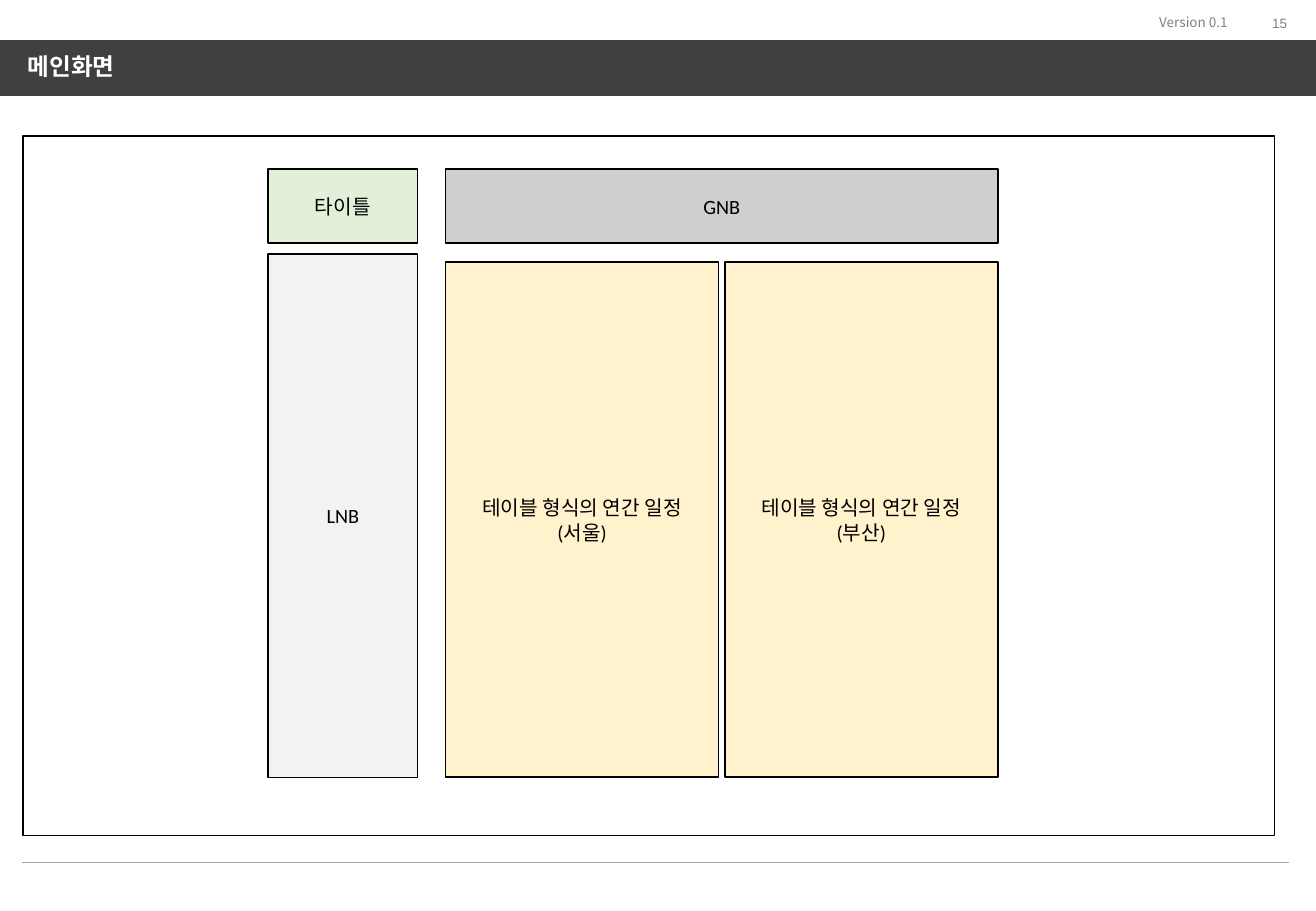
from lxml.etree import SubElement
from pptx import Presentation
from pptx.dml.color import RGBColor
from pptx.enum.shapes import MSO_CONNECTOR as Connector, MSO_SHAPE as Shape
from pptx.enum.text import MSO_ANCHOR as Anchor, PP_ALIGN as Align
from pptx.oxml.ns import qn
from pptx.util import Inches, Pt

COLOURS = {
    "bar": "404040", "rule": "A6A6A6", "muted": "7F7F7F",
    "black": "000000", "white": "FFFFFF",
    "title": "E2F0D9", "gnb": "D0CECE", "lnb": "F2F2F2", "schedule": "FFF2CC",
}
WIDTH, HEIGHT = 10.84, 7.5

# Wireframe grid
SIDE_LEFT, SIDE_WIDTH = 2.21, 1.23
MAIN_LEFT, MAIN_WIDTH = 3.67, 4.55
HEADER_TOP, HEADER_HEIGHT = 1.39, 0.61
LNB_TOP, SCHEDULE_TOP, BODY_BOTTOM = 2.09, 2.16, 6.4
SCHEDULE_GAP = 0.05
SCHEDULE_WIDTH = (MAIN_WIDTH - SCHEDULE_GAP) / 2


def colour(name):
    return RGBColor.from_string(COLOURS[name])


def write(shape, text, size=12, font="Calibri", color="black", bold=False,
          align=Align.CENTER, anchor=Anchor.MIDDLE, margins=(0, 0),
          wrap=False, spacing=None):
    """Fill the shape with one paragraph per line of text."""
    frame = shape.text_frame
    frame.word_wrap = wrap
    frame.vertical_anchor = anchor
    frame.margin_left = frame.margin_right = Inches(margins[0])
    frame.margin_top = frame.margin_bottom = Inches(margins[1])
    for index, line in enumerate(text.split("\n")):
        paragraph = frame.paragraphs[0] if index == 0 else frame.add_paragraph()
        paragraph.alignment = align
        paragraph.line_spacing = spacing
        run = paragraph.add_run()
        run.text = line
        run.font.name = font
        run.font.size = Pt(size)
        run.font.bold = bold
        run.font.color.rgb = colour(color)
        east_asian = SubElement(run.font._element, qn("a:ea"))
        east_asian.set("typeface", "Noto Sans CJK KR")


presentation = Presentation()
presentation.slide_width = Inches(WIDTH)
presentation.slide_height = Inches(HEIGHT)
slide = presentation.slides.add_slide(presentation.slide_layouts[6])

# Footer rule
rule = slide.shapes.add_connector(
    Connector.STRAIGHT, Inches(0.18), Inches(7.1), Inches(10.62), Inches(7.1))
rule.line.color.rgb = colour("rule")
rule.line.width = Pt(0.5)
SubElement(rule._element.spPr, qn("a:effectLst"))

# Title bar, frame and wireframe areas: left, top, width, height, fill, line, text
schedules = [
    (MAIN_LEFT + column * (SCHEDULE_WIDTH + SCHEDULE_GAP), SCHEDULE_TOP,
     SCHEDULE_WIDTH, BODY_BOTTOM - SCHEDULE_TOP, "schedule", "black",
     f"테이블 형식의 연간 일정\n({city})")
    for column, city in enumerate(("서울", "부산"))
]
areas = [
    (0, 0.33, WIDTH, 0.46, "bar", None, ""),
    (0.19, 1.12, 10.31, 5.76, None, "black", ""),
    (SIDE_LEFT, LNB_TOP, SIDE_WIDTH, BODY_BOTTOM - LNB_TOP, "lnb", "black", "LNB"),
    (MAIN_LEFT, HEADER_TOP, MAIN_WIDTH, HEADER_HEIGHT, "gnb", "black", "GNB"),
    *schedules,
    (SIDE_LEFT, HEADER_TOP, SIDE_WIDTH, HEADER_HEIGHT, "title", "black", "타이틀"),
]
for *box, fill, line, text in areas:
    area = slide.shapes.add_shape(Shape.RECTANGLE, *map(Inches, box))
    area.shadow.inherit = False
    if fill:
        area.fill.solid()
        area.fill.fore_color.rgb = colour(fill)
    else:
        area.fill.background()
    if line:
        area.line.color.rgb = colour(line)
        area.line.width = Pt(1)
    else:
        area.line.fill.background()
    if text:
        write(area, text)

# Page heading, version and page number
labels = [
    ((0.13, 0.4, 10.58, 0.31), "메인화면",
     dict(size=14, font="Arial", color="white", bold=True, align=Align.LEFT,
          wrap=True, spacing=0.9)),
    ((9.45, 0.07, 0.78, 0.24), "Version 0.1",
     dict(size=8, font="Noto Sans CJK KR", color="muted", align=Align.LEFT,
          anchor=Anchor.TOP)),
    ((9.91, 0.08, 0.79, 0.22), "15",
     dict(size=8, font="Arial", color="muted", align=Align.RIGHT, wrap=True)),
]
for box, text, style in labels:
    label = slide.shapes.add_textbox(*map(Inches, box))
    write(label, text, margins=(0.1, 0.05), **style)

presentation.save("out.pptx")
